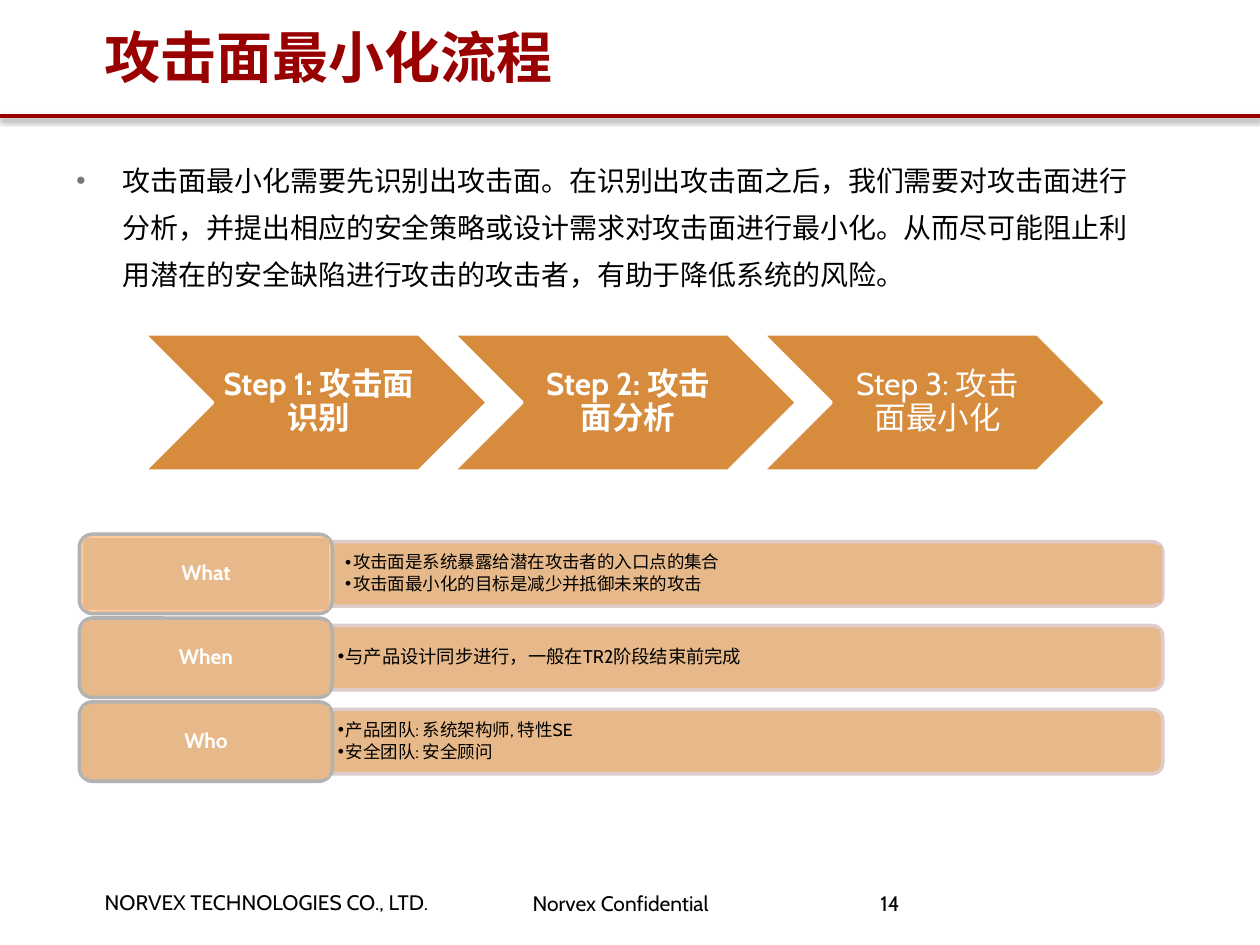
from lxml.etree import SubElement
from pptx import Presentation
from pptx.dml.color import RGBColor
from pptx.enum.shapes import MSO_CONNECTOR, MSO_SHAPE
from pptx.enum.text import MSO_ANCHOR, PP_ALIGN
from pptx.oxml.ns import qn
from pptx.util import Cm, Pt

BLACK = RGBColor(0x00, 0x00, 0x00)
WHITE = RGBColor(0xFF, 0xFF, 0xFF)
DARK_RED = RGBColor(0x99, 0x00, 0x00)
BULLET_GREY = RGBColor(0x77, 0x77, 0x77)
ORANGE = RGBColor(0xD7, 0x8B, 0x3D)
SAND = RGBColor(0xE7, 0xB9, 0x8A)
PEACH = RGBColor(0xFF, 0xCC, 0x99)
ROSE_GREY = RGBColor(0xDE, 0xCC, 0xCC)
SILVER = RGBColor(0xB2, 0xB2, 0xB2)
CJK_FONT = "Noto Sans CJK SC"


def add_panel(kind, left, top, width, height, fill, outline=None):
    panel = slide.shapes.add_shape(kind, Cm(left), Cm(top), Cm(width), Cm(height))
    panel.shadow.inherit = False
    panel.fill.solid()
    panel.fill.fore_color.rgb = fill
    if outline is None:
        panel.line.fill.background()
    else:
        panel.line.color.rgb = outline
        panel.line.width = Pt(2)
    return panel


def write(shape, lines, size, color, font="Cabin", bold=False, align=PP_ALIGN.LEFT,
          anchor=MSO_ANCHOR.TOP, margins=(0, 0, 0, 0), spacing=1.0, after=0, bullet=None):
    """Fill a shape with lines; margins are left, top, right, bottom in cm and
    bullet is (character, hanging indent in cm, size in percent, colour)."""
    frame = shape.text_frame
    frame.word_wrap = True
    frame.vertical_anchor = anchor
    (frame.margin_left, frame.margin_top,
     frame.margin_right, frame.margin_bottom) = [Cm(m) for m in margins]
    for index, line in enumerate(lines):
        paragraph = frame.add_paragraph() if index else frame.paragraphs[0]
        if bullet:
            char, indent, percent, bullet_color = bullet
            props = paragraph._p.get_or_add_pPr()
            props.set("marL", str(Cm(indent)))
            props.set("indent", str(-Cm(indent)))
            tint = SubElement(props, qn("a:buClr"))
            SubElement(tint, qn("a:srgbClr"), val=str(bullet_color))
            SubElement(props, qn("a:buSzPct"), val=str(percent * 1000))
            SubElement(props, qn("a:buFont"), typeface="Arial")
            SubElement(props, qn("a:buChar"), char=char)
        paragraph.alignment = align
        paragraph.line_spacing = spacing
        paragraph.space_after = Pt(after)
        run = paragraph.add_run()
        run.text = line
        run.font.size = Pt(size)
        run.font.name = font
        run.font.bold = bold
        run.font.color.rgb = color
        SubElement(run._r.get_or_add_rPr(), qn("a:ea"), typeface=CJK_FONT)


deck = Presentation()
deck.slide_width, deck.slide_height = Cm(25.4), Cm(19.05)
slide = deck.slides.add_slide(deck.slide_layouts[6])

# Footer
for left, top, width, words in [
    (2.11, 17.93, 8, "NORVEX TECHNOLOGIES CO., LTD."),
    (10.74, 17.96, 5, "Norvex Confidential"),
    (17.75, 18.03, 5, "14"),
]:
    footer = slide.shapes.add_textbox(Cm(left), Cm(top), Cm(width), Cm(0.51))
    write(footer, [words], 12, BLACK, spacing=0.85 if words == "14" else 1.0)

# Title and rule
title = slide.shapes.add_textbox(Cm(2.11), Cm(-0.08), Cm(21.21), Cm(2.41))
write(title, ["攻击面最小化流程"], 32, DARK_RED, font="Arial", bold=True,
      anchor=MSO_ANCHOR.MIDDLE, margins=(0, 0.1, 0.23, 0.1))

rule = slide.shapes.add_connector(MSO_CONNECTOR.STRAIGHT, 0, Cm(2.34), Cm(25.4), Cm(2.34))
rule.line.color.rgb = DARK_RED
rule.line.width = Pt(2)
effects = SubElement(rule._element.spPr, qn("a:effectLst"))
shadow = SubElement(effects, qn("a:outerShdw"), blurRad=str(Pt(3.1)), dist=str(Pt(1.6)),
                    dir="5400000", rotWithShape="0")
shadow_color = SubElement(shadow, qn("a:srgbClr"), val="000000")
SubElement(shadow_color, qn("a:alpha"), val="38000")

# Introduction
intro = slide.shapes.add_textbox(Cm(1.3), Cm(2.92), Cm(22.05), Cm(13.26))
write(intro, ["攻击面最小化需要先识别出攻击面。在识别出攻击面之后，我们需要对攻击面进行分析，"
              "并提出相应的安全策略或设计需求对攻击面进行最小化。从而尽可能阻止利用潜在的"
              "安全缺陷进行攻击的攻击者，有助于降低系统的风险。"],
      16, BLACK, font=CJK_FONT, margins=(0.23, 0.1, 0.23, 0.1), spacing=1.4,
      bullet=("●", 0.95, 60, BULLET_GREY))

# Step chevrons
STEP_TOP, STEP_HEIGHT = 6.73, 2.77
steps = [("Step 1: 攻击面识别", True), ("Step 2: 攻击面分析", True), ("Step 3: 攻击面最小化", False)]
for index, (step, bold) in enumerate(steps):
    left = 2.9 + 6.235 * index
    add_panel(MSO_SHAPE.CHEVRON, left, STEP_TOP, 6.93, STEP_HEIGHT, ORANGE, WHITE)
    label = slide.shapes.add_textbox(Cm(left + 1.39), Cm(STEP_TOP), Cm(4.16), Cm(STEP_HEIGHT))
    write(label, [step], 18, WHITE, bold=bold, align=PP_ALIGN.CENTER,
          anchor=MSO_ANCHOR.MIDDLE, margins=(0.2, 0.08, 0.08, 0.08), spacing=0.9)

# What / When / Who rows: tab, fill of the tab, detail left, detail width, size, details
rows = [
    ("What", PEACH, 6.86, 16.56, 10,
     ["攻击面是系统暴露给潜在攻击者的入口点的集合", "攻击面最小化的目标是减少并抵御未来的攻击"]),
    ("When", SAND, 6.71, 16.66, 10.5, ["与产品设计同步进行，一般在TR2阶段结束前完成"]),
    ("Who", SAND, 6.71, 16.66, 10, ["产品团队: 系统架构师, 特性SE", "安全团队: 安全顾问"]),
]
BAR_LEFT, BAR_LENGTH, BAR_HEIGHT = 6.7, 16.74, 1.3
for index, (topic, tab_fill, left, width, size, details) in enumerate(rows):
    middle = 11.57 + 1.69 * index
    bar = add_panel(MSO_SHAPE.ROUND_2_SAME_RECTANGLE,
                    BAR_LEFT + (BAR_LENGTH - BAR_HEIGHT) / 2, middle - BAR_LENGTH / 2,
                    BAR_HEIGHT, BAR_LENGTH, SAND, ROSE_GREY)
    bar.rotation = 90
    detail = add_panel(MSO_SHAPE.RECTANGLE, left, middle - 0.58, width, 1.16, SAND)
    write(detail, details, size, BLACK, anchor=MSO_ANCHOR.MIDDLE,
          margins=(0.1, 0.05, 0.1, 0.05), spacing=0.9, after=1.5,
          bullet=("•", 0.16, 100, BLACK))
    add_panel(MSO_SHAPE.ROUNDED_RECTANGLE, 1.6, middle - 0.8, 5.1, 1.6, tab_fill, SILVER)
    tab = add_panel(MSO_SHAPE.RECTANGLE, 1.68, middle - 0.72, 4.95, 1.44, SAND)
    write(tab, [topic], 12, WHITE, bold=True, align=PP_ALIGN.CENTER,
          anchor=MSO_ANCHOR.MIDDLE, margins=(0.13, 0.08, 0.13, 0.08), spacing=0.9)

deck.save("out.pptx")
